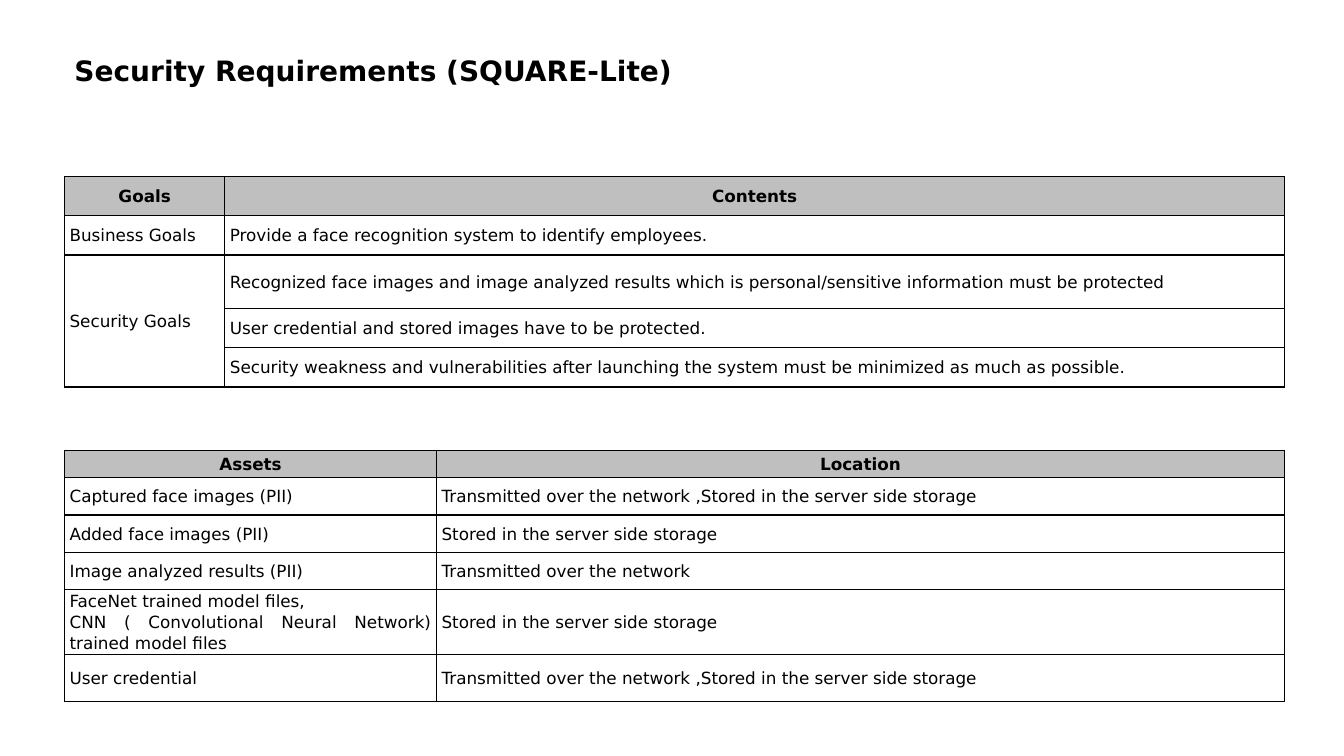
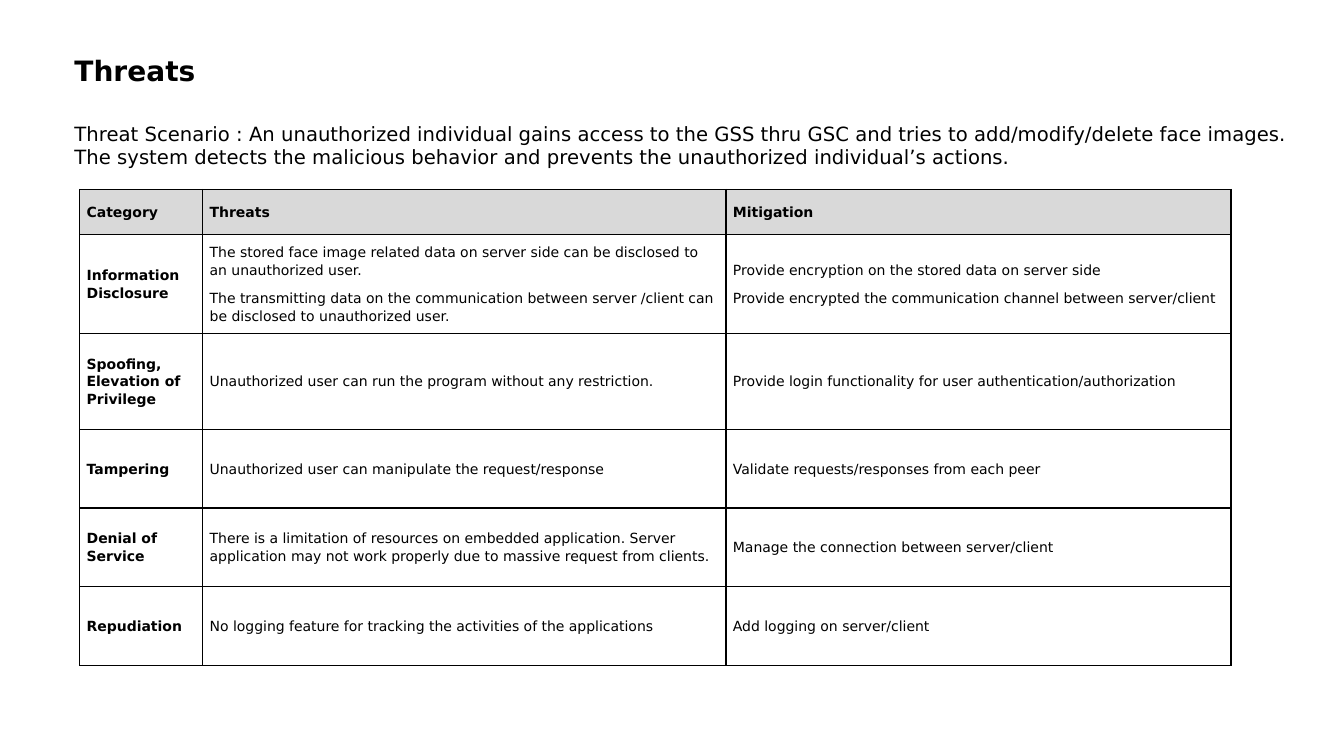
from dataclasses import dataclass

from lxml.etree import SubElement
from pptx import Presentation
from pptx.dml.color import RGBColor
from pptx.enum.text import MSO_ANCHOR as Anchor, PP_ALIGN as Align
from pptx.oxml.ns import qn
from pptx.util import Inches, Pt


@dataclass(frozen=True)
class Theme:
    font: str = "DejaVu Sans"
    ink: str = "000000"
    paper: str = "FFFFFF"
    dark_header: str = "BFBFBF"
    light_header: str = "D9D9D9"
    title_size: int = 20
    lead_size: int = 14
    table_size: int = 12
    dense_size: int = 10
    border_width: int = 1
    title_spacing: float = 0.9
    table_spacing: float = 1.07


@dataclass(frozen=True)
class TableStyle:
    header: str
    size: int
    inset: float
    header_align: Align
    body_align: Align
    space_after: int = 0
    bold_first_column: bool = False


class Deck:
    def __init__(self, theme):
        self.theme = theme
        self.presentation = Presentation()
        self.presentation.slide_width = Inches(13.33)
        self.presentation.slide_height = Inches(7.5)
        self.slide = None

    def add_slide(self, title):
        blank = self.presentation.slide_layouts[6]
        self.slide = self.presentation.slides.add_slide(blank)
        heading = self.text(title, 0.64, 0.26, 11.5, 0.91, self.theme.title_size,
                            bold=True, anchor=Anchor.MIDDLE)
        heading.line_spacing = self.theme.title_spacing

    def style_font(self, paragraph, size, bold):
        font = paragraph.font
        font.name = self.theme.font
        font.size = Pt(size)
        font.bold = bold
        font.color.rgb = RGBColor.from_string(self.theme.ink)

    def text(self, words, left, top, width, height, size, bold=False, anchor=Anchor.TOP):
        box = self.slide.shapes.add_textbox(
            Inches(left), Inches(top), Inches(width), Inches(height))
        frame = box.text_frame
        frame.word_wrap = True
        frame.vertical_anchor = anchor
        frame.text = words
        paragraph = frame.paragraphs[0]
        self.style_font(paragraph, size, bold)
        return paragraph

    def border(self, cell):
        properties = cell._tc.get_or_add_tcPr()
        for side in ("a:lnL", "a:lnR", "a:lnT", "a:lnB"):
            line = SubElement(properties, qn(side), w=str(Pt(self.theme.border_width)))
            fill = SubElement(line, qn("a:solidFill"))
            SubElement(fill, qn("a:srgbClr"), val=self.theme.ink)

    def style_cell(self, cell, style, is_header, is_first):
        cell.margin_left = cell.margin_right = Inches(style.inset)
        cell.margin_top = cell.margin_bottom = 0
        cell.vertical_anchor = Anchor.MIDDLE
        self.border(cell)
        cell.fill.solid()
        cell.fill.fore_color.rgb = RGBColor.from_string(
            style.header if is_header else self.theme.paper)
        for paragraph in cell.text_frame.paragraphs:
            paragraph.alignment = style.header_align if is_header else style.body_align
            paragraph.line_spacing = self.theme.table_spacing
            paragraph.space_after = Pt(style.space_after)
            self.style_font(paragraph, style.size,
                            is_header or (is_first and style.bold_first_column))

    def table(self, records, left, top, widths, heights, style):
        frame = self.slide.shapes.add_table(
            len(heights), len(widths), Inches(left), Inches(top),
            Inches(sum(widths)), Inches(sum(heights)))
        table = frame.table
        table.horz_banding = False
        for column, width in zip(table.columns, widths):
            column.width = Inches(width)
        for row, height in zip(table.rows, heights):
            row.height = Inches(height)
        for row_index, record in enumerate(records):
            for column_index, words in enumerate(record):
                cell = table.cell(row_index, column_index)
                cell.text = words
                self.style_cell(cell, style, row_index == 0, column_index == 0)
        return table


def security_requirements(deck):
    deck.add_slide("Security Requirements (SQUARE-Lite)")
    style = TableStyle(deck.theme.dark_header, deck.theme.table_size, 0.05,
                       Align.CENTER, Align.JUSTIFY)
    goals = [
        ("Goals", "Contents"),
        ("Business Goals", "Provide a face recognition system to identify employees."),
        ("Security Goals",
         "Recognized face images and image analyzed results which is "
         "personal/sensitive information must be protected"),
        ("", "User credential and stored images have to be protected."),
        ("", "Security weakness and vulnerabilities after launching the system "
             "must be minimized as much as possible."),
    ]
    goals_table = deck.table(goals, 0.64, 1.75, [1.59, 10.51],
                             [0.39, 0.39, 0.53, 0.39, 0.39], style)
    goals_table.cell(2, 0).merge(goals_table.cell(4, 0))

    stored = "Stored in the server side storage"
    transmitted = "Transmitted over the network"
    both = f"{transmitted} ,{stored}"
    assets = [
        ("Assets", "Location"),
        ("Captured face images (PII)", both),
        ("Added face images (PII)", stored),
        ("Image analyzed results (PII)", transmitted),
        ("FaceNet trained model files,\n"
         "CNN ( Convolutional Neural Network) trained model files", stored),
        ("User credential", both),
    ]
    deck.table(assets, 0.64, 4.47, [3.69, 8.41],
               [0.27, 0.37, 0.37, 0.37, 0.5, 0.47], style)


def threats(deck):
    deck.add_slide("Threats")
    deck.text("Threat Scenario : An unauthorized individual gains access to the GSS thru GSC "
              "and tries to add/modify/delete face images. The system detects the malicious "
              "behavior and prevents the unauthorized individual’s actions.",
              0.64, 1.16, 12.32, 0.57, deck.theme.lead_size)
    style = TableStyle(deck.theme.light_header, deck.theme.dense_size, 0.07,
                       Align.LEFT, Align.LEFT, space_after=8, bold_first_column=True)
    mitigations = [
        ("Category", "Threats", "Mitigation"),
        ("Information Disclosure",
         "The stored face image related data on server side can be disclosed "
         "to an unauthorized user.\n"
         "The transmitting data on the communication between server /client "
         "can be disclosed to unauthorized user.",
         "Provide encryption on the stored data on server side\n"
         "Provide encrypted the communication channel between server/client"),
        ("Spoofing, Elevation of Privilege",
         "Unauthorized user can run the program without any restriction.",
         "Provide login functionality for user authentication/authorization"),
        ("Tampering",
         "Unauthorized user can manipulate the request/response",
         "Validate requests/responses from each peer"),
        ("Denial of Service",
         "There is a limitation of resources on embedded application. Server application "
         "may not work properly due to massive request from clients.",
         "Manage the connection between server/client"),
        ("Repudiation",
         "No logging feature for tracking the activities of the applications",
         "Add logging on server/client"),
    ]
    deck.table(mitigations, 0.79, 1.88, [1.22, 5.19, 5.01],
               [0.45, 0.98, 0.95, 0.78, 0.78, 0.78], style)


def main():
    deck = Deck(Theme())
    security_requirements(deck)
    threats(deck)
    deck.presentation.save("out.pptx")


if __name__ == "__main__":
    main()
